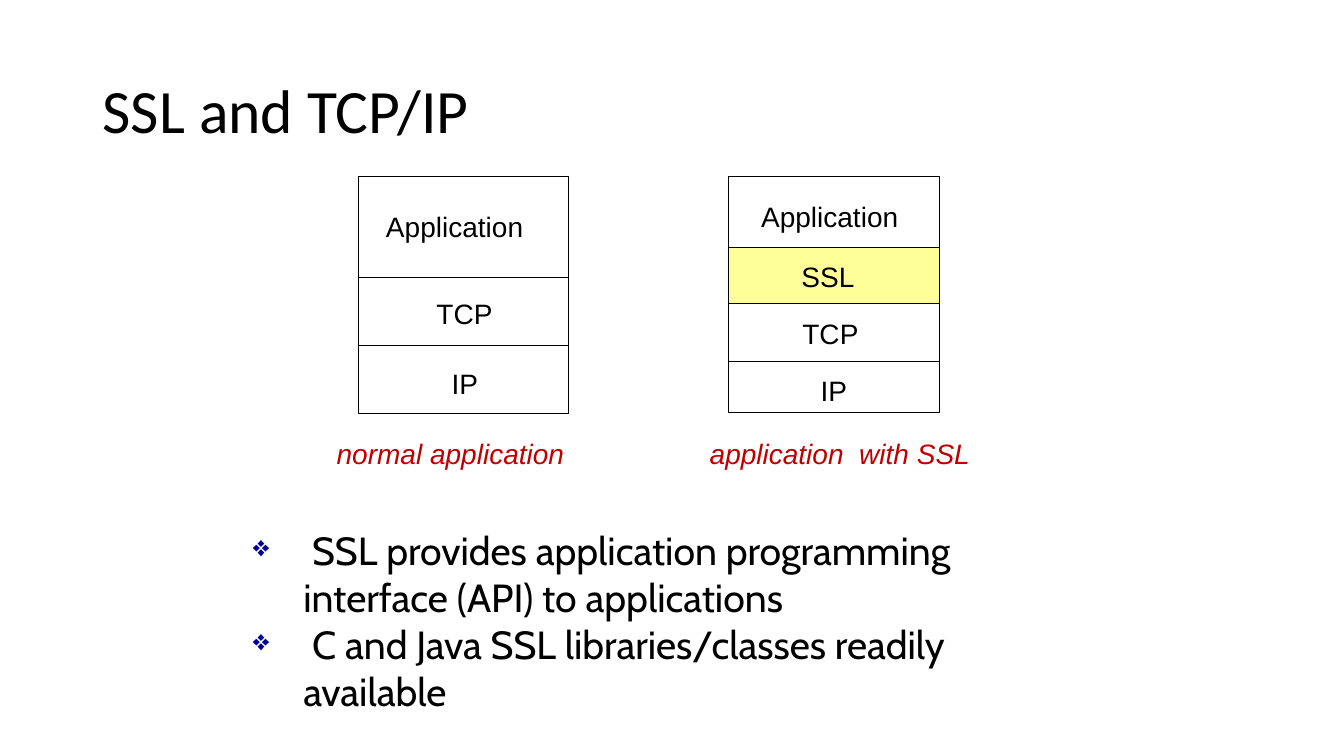
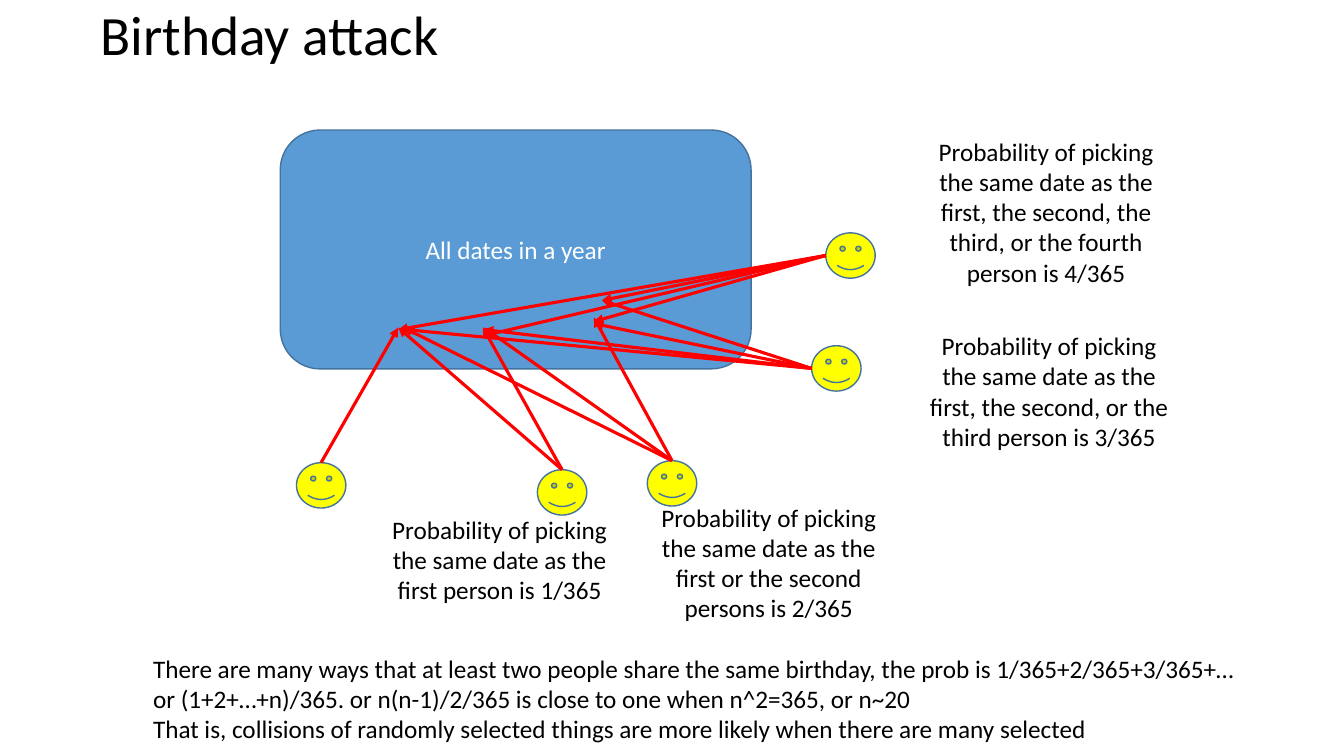
import pptx
import pptx.util
import pptx.dml.color
import pptx.enum.shapes
import pptx.enum.text
import pptx.oxml
import pptx.oxml.ns
from lxml import etree

Inches, Pt = pptx.util.Inches, pptx.util.Pt
Kind = pptx.enum.shapes.MSO_SHAPE
Anchor = pptx.enum.text.MSO_ANCHOR
Align = pptx.enum.text.PP_ALIGN
qn = pptx.oxml.ns.qn

COLORS = {
    "black": "000000", "white": "FFFFFF", "red": "C00000", "arrow": "FF0000",
    "pale": "FFFF99", "face": "FFFF00", "blue": "5B9BD5", "edge": "43739E",
    "bullet": "000099",
}


def rgb(name):
    return pptx.dml.color.RGBColor.from_string(COLORS[name])


def add_bullet(para):
    props = para._p.get_or_add_pPr()
    props.set("marL", str(Inches(0.5)))
    props.set("indent", str(-Inches(0.5)))
    tint = etree.SubElement(props, qn("a:buClr"))
    etree.SubElement(tint, qn("a:srgbClr"), val=COLORS["bullet"])
    etree.SubElement(props, qn("a:buSzPct"), val="74000")
    etree.SubElement(props, qn("a:buChar"), char="❖")


def write(frame, text, size=18, font="Calibri", color="black", italic=False,
          align=Align.LEFT, anchor=Anchor.TOP, wrap=True, bullet=False,
          spacing=None):
    """Fill a text frame, one paragraph for each line of text."""
    frame.word_wrap = wrap
    frame.vertical_anchor = anchor
    for i, line in enumerate(text.split("\n")):
        para = frame.paragraphs[0] if i == 0 else frame.add_paragraph()
        if bullet:
            add_bullet(para)
        para.alignment = align
        if spacing:
            para.line_spacing = spacing
        run = para.add_run()
        run.text = line
        run.font.size = Pt(size)
        run.font.name = font
        run.font.italic = italic
        run.font.color.rgb = rgb(color)


class Deck:
    def __init__(self):
        self.show = pptx.Presentation()
        self.show.slide_width = Inches(13.33)
        self.show.slide_height = Inches(7.5)
        self.slide = None

    def start(self, title, x, y, high, size):
        self.slide = self.show.slides.add_slide(self.show.slide_layouts[6])
        self.text(title, x, y, 11.5, high, size=size, anchor=Anchor.MIDDLE,
                  spacing=0.9)

    def text(self, text, x, y, wide, high, **style):
        box = self.slide.shapes.add_textbox(
            Inches(x), Inches(y), Inches(wide), Inches(high))
        write(box.text_frame, text, **style)

    def shape(self, kind, x, y, wide, high, fill=None, line="edge", weight=1):
        item = self.slide.shapes.add_shape(
            kind, Inches(x), Inches(y), Inches(wide), Inches(high))
        item.shadow.inherit = False
        if fill:
            item.fill.solid()
            item.fill.fore_color.rgb = rgb(fill)
        else:
            item.fill.background()
        item.line.color.rgb = rgb(line)
        item.line.width = Pt(weight)
        return item

    def arrow(self, start, end):
        link = self.slide.shapes.add_connector(
            pptx.enum.shapes.MSO_CONNECTOR.STRAIGHT,
            *[Inches(v) for v in (*start, *end)])
        link.line.color.rgb = rgb("arrow")
        link.line.width = Pt(2.25)
        etree.SubElement(link.line._get_or_add_ln(), qn("a:tailEnd"),
                         type="triangle")
        etree.SubElement(link._element.spPr, qn("a:effectLst"))

    def stack(self, x, wide, layers):
        """Draw layers downward: name, height, label offset, fill."""
        y = 1.75
        for name, high, dx, dy, fill in layers:
            self.shape(Kind.RECTANGLE, x, y, wide, high, fill, "black", 0.75)
            self.text(name, x + dx, y + dy, 1.58, 0.44, size=20,
                      font="Arial", wrap=False)
            y += high

    def face(self, x, y, side, tips):
        """Draw a person and an arrow to each picked date."""
        wide, high = 0.49, 0.45
        self.shape(Kind.SMILEY_FACE, x, y, wide, high, "face")
        start = (x, y + high / 2) if side else (x + wide / 2, y)
        for tip in tips:
            self.arrow(start, tip)


def ssl_slide(deck):
    deck.start("SSL and TCP/IP", 0.92, 0.4, 1.45, 44)

    # Protocol stacks
    deck.stack(3.56, 2.08, [
        ("Application", 1, 0.17, 0.28, None),
        ("TCP", 0.68, 0.67, 0.14, None),
        ("IP", 0.67, 0.82, 0.16, None),
    ])
    deck.stack(7.23, 2.09, [
        ("Application", 0.71, 0.22, 0.18, None),
        ("SSL", 0.55, 0.62, 0.07, "pale"),
        ("TCP", 0.58, 0.63, 0.08, None),
        ("IP", 0.5, 0.81, 0.07, None),
    ])
    for name, x in (("normal application", 3.24),
                    ("application  with SSL", 6.94)):
        deck.text(name, x, 4.28, 2.88, 0.44, size=20, font="Arial",
                  color="red", italic=True)

    # Key points
    deck.text(" SSL provides application programming interface (API) to "
              "applications\n C and Java SSL libraries/classes readily "
              "available", 2.41, 5.17, 8.42, 1.52, size=28, font="Cabin",
              bullet=True)


def birthday_slide(deck):
    deck.start("Birthday attack", 0.9, 0.08, 0.58, 39.6)

    # Pool of dates
    pool = deck.shape(Kind.ROUNDED_RECTANGLE, 2.78, 1.29, 4.67, 2.37, "blue")
    write(pool.text_frame, "All dates in a year", color="white",
          align=Align.CENTER, anchor=Anchor.MIDDLE)

    # People and the dates they pick
    people = [
        (2.94, 4.59, False, [(3.95, 3.25)]),
        (5.33, 4.66, False, [(3.95, 3.25), (4.79, 3.25)]),
        (6.42, 4.57, False, [(4.8, 3.25), (4, 3.25), (5.89, 3.15)]),
        (8.05, 3.43, True, [(4.02, 3.27), (4.8, 3.27), (5.89, 3.21),
                            (5.97, 2.98)]),
        (8.19, 2.31, True, [(3.95, 3.27), (4.8, 3.33), (5.89, 3.19),
                            (5.97, 2.98)]),
    ]
    for person in people:
        deck.face(*person)

    # Chance for each later person
    odds = [
        ("first person is 1/365", 3.62, 5.05, 1.01),
        ("first or the second persons is 2/365", 6.29, 4.93, 1.31),
        ("first, the second, or the third person is 3/365", 9.07, 3.23, 1.31),
        ("first, the second, the third, or the fourth person is 4/365",
         9.04, 1.3, 1.62),
    ]
    for end, x, y, high in odds:
        deck.text("Probability of picking the same date as the " + end,
                  x, y, 2.67, high, align=Align.CENTER)

    # Conclusion
    deck.text("There are many ways that at least two people share the same "
              "birthday, the prob is 1/365+2/365+3/365+… or (1+2+…+n)/365. "
              "or n(n-1)/2/365 is close to one when n^2=365, or n~20\n"
              "That is, collisions of randomly selected things are more "
              "likely when there are many selected", 1.42, 6.43, 11.13, 1.01)


def main():
    deck = Deck()
    ssl_slide(deck)
    birthday_slide(deck)
    deck.show.save("out.pptx")


if __name__ == "__main__":
    main()
